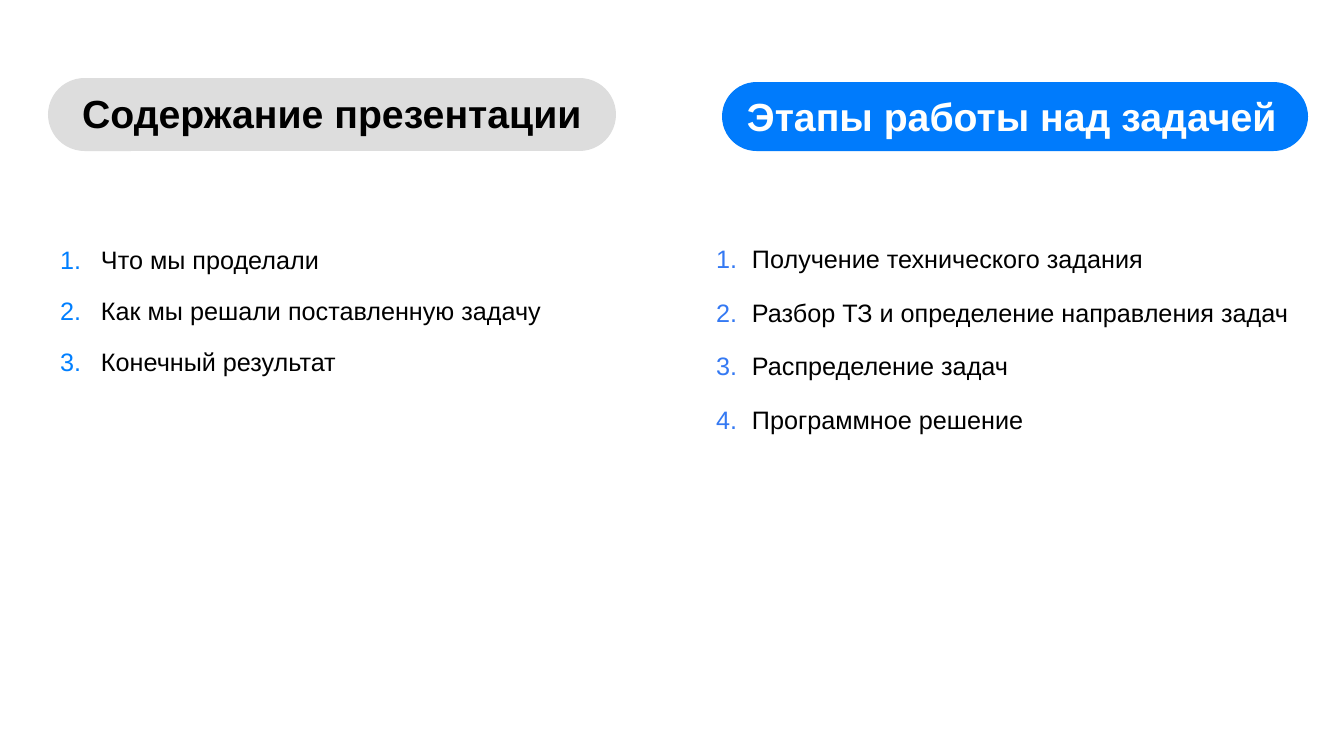
"""Builds a slide with the presentation contents beside the stages of work."""
from lxml.etree import SubElement
from pptx import Presentation
from pptx.dml.color import RGBColor
from pptx.enum.shapes import MSO_SHAPE
from pptx.enum.text import MSO_ANCHOR, MSO_AUTO_SIZE, PP_ALIGN
from pptx.oxml.ns import qn
from pptx.util import Pt

PX = 914400 / 50.4
FONT = "Arial"
BLACK = RGBColor(0x00, 0x00, 0x00)
WHITE = RGBColor(0xFE, 0xFF, 0xFE)
GREY = RGBColor(0xDD, 0xDD, 0xDD)
BLUE = RGBColor(0x00, 0x7B, 0xFC)
CONTENTS_NUMBER = RGBColor(0x00, 0x7F, 0xFF)
STAGES_NUMBER = RGBColor(0x34, 0x79, 0xF3)

CONTENTS = {
    "heading": "Содержание презентации",
    "heading_box": (73, 86, 518, 77),
    "heading_color": BLACK,
    "pill_box": (48, 78, 568, 73),
    "pill_color": GREY,
    "items": ["Что мы проделали", "Как мы решали поставленную задачу", "Конечный результат"],
    "list_box": (57, 228, 526, 149),
    "list_format": dict(margin=3, indent=41, space_before=8,
                        number_color=CONTENTS_NUMBER, anchor=MSO_ANCHOR.MIDDLE),
}
STAGES = {
    "heading": "Этапы работы над задачей",
    "heading_box": (711, 89, 602, 147),
    "heading_color": WHITE,
    "pill_box": (722, 82, 586, 69),
    "pill_color": BLUE,
    "items": ["Получение технического задания", "Разбор ТЗ и определение направления задач",
              "Распределение задач", "Программное решение"],
    "list_box": (715, 227, 598, 203),
    "list_format": dict(margin=1, indent=36, space_before=12, number_color=STAGES_NUMBER),
}


def px(length):
    return round(length * PX)


def place(shape, box):
    shape.left, shape.top, shape.width, shape.height = map(px, box)


def number_paragraph(paragraph, indent, color):
    properties = paragraph._p.get_or_add_pPr()
    properties.set("marL", str(px(indent)))
    properties.set("indent", str(-px(indent)))
    bullet_color = SubElement(properties, qn("a:buClr"))
    SubElement(bullet_color, qn("a:srgbClr"), val=str(color))
    SubElement(properties, qn("a:buFont"), typeface=FONT)
    SubElement(properties, qn("a:buAutoNum"), type="arabicPeriod")


def write_text(shape, lines, size=36, color=BLACK, bold=False, align=PP_ALIGN.LEFT,
               anchor=MSO_ANCHOR.TOP, auto_size=MSO_AUTO_SIZE.NONE, margin=3,
               line_spacing=1.0, space_before=0, indent=0, number_color=None):
    frame = shape.text_frame
    frame.text = "\n".join(lines)
    frame.word_wrap = True
    frame.auto_size = auto_size
    frame.vertical_anchor = anchor
    frame.margin_left = frame.margin_right = px(margin)
    frame.margin_top = frame.margin_bottom = px(margin)
    for index, paragraph in enumerate(frame.paragraphs):
        paragraph.alignment = align
        paragraph.line_spacing = line_spacing
        paragraph.space_before = Pt(space_before if index else 0)
        if number_color is not None:
            number_paragraph(paragraph, indent, number_color)
        font = paragraph.runs[0].font
        font.name, font.size, font.bold = FONT, Pt(size), bold
        font.color.rgb = color


def add_column(slide, column, heading):
    pill = slide.shapes.add_shape(MSO_SHAPE.ROUNDED_RECTANGLE, *map(px, column["pill_box"]))
    pill.adjustments[0] = 0.5
    pill.shadow.inherit = False
    pill.fill.solid()
    pill.fill.fore_color.rgb = column["pill_color"]
    pill.line.fill.background()
    heading.element.addprevious(pill.element)

    place(heading, column["heading_box"])
    write_text(heading, [column["heading"]], size=56, color=column["heading_color"],
               bold=True, align=PP_ALIGN.CENTER)

    item_list = slide.shapes.add_textbox(*map(px, column["list_box"]))
    write_text(item_list, column["items"], line_spacing=1.5,
               auto_size=MSO_AUTO_SIZE.SHAPE_TO_FIT_TEXT, **column["list_format"])


def main():
    presentation = Presentation()
    presentation.slide_width, presentation.slide_height = px(1344), px(756)
    slide = presentation.slides.add_slide(presentation.slide_layouts[5])
    add_column(slide, CONTENTS, slide.shapes.title)
    add_column(slide, STAGES, slide.shapes.add_textbox(0, 0, 0, 0))
    presentation.save("out.pptx")


if __name__ == "__main__":
    main()
